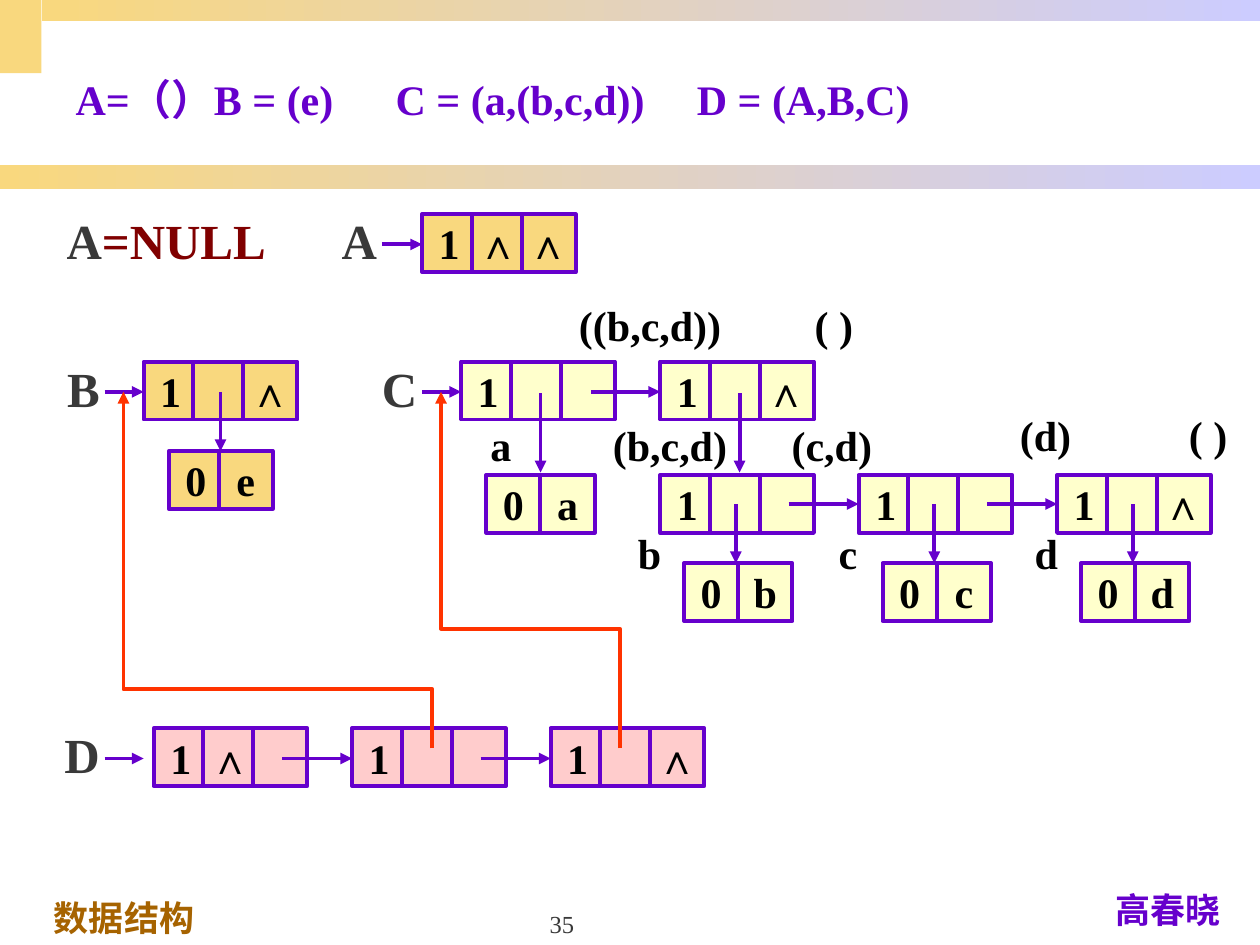
from lxml import etree
from pptx import Presentation
from pptx import util as u
from pptx.dml.color import RGBColor
from pptx.enum import shapes, text
from pptx.oxml.ns import qn

rgb = RGBColor.from_string
In = u.Inches
FONT = "Times New Roman"
GOLD, CREAM, PINK = "F9D87E", "FFFFCC", "FFCCCC"
PURPLE, LILAC, RED = "6600CC", "CCCCFF", "FF3300"
BLACK, GREY, MAROON, BROWN = "000000", "393939", "800000", "A66300"
LEFT, MID, RIGHT = text.PP_ALIGN.LEFT, text.PP_ALIGN.CENTER, text.PP_ALIGN.RIGHT
RECT = shapes.MSO_SHAPE.RECTANGLE


def write(shape, words, size, color, align=MID, bold=True):
    frame = shape.text_frame
    frame.text = words
    frame.word_wrap = False
    frame.vertical_anchor = text.MSO_ANCHOR.MIDDLE
    para = frame.paragraphs[0]
    para.alignment = align
    for run in para.runs:
        run.font.name = FONT
        run.font.size = u.Pt(size)
        run.font.bold = bold
        run.font.color.rgb = rgb(color)
    return para


def point(shape, color):
    """Style a line or outline as an arrow without a shadow."""
    shape.line.color.rgb = rgb(color)
    shape.line.width = u.Pt(2.25)
    tail = etree.SubElement(shape.line._get_or_add_ln(), qn("a:tailEnd"))
    tail.set("type", "triangle")
    etree.SubElement(shape._element.spPr, qn("a:effectLst"))


deck = Presentation()
deck.slide_width, deck.slide_height = In(10), In(7.5)
slide = deck.slides.add_slide(deck.slide_layouts[5])
parts = slide.shapes

# Corner block and bands
for x, y, w, h, blend in [
    (0, 0, 0.33, 0.58, False),
    (0, 1.31, 10, 0.19, True),
    (0.33, 0, 9.67, 0.17, True),
]:
    band = parts.add_shape(RECT, In(x), In(y), In(w), In(h))
    band.shadow.inherit = False
    band.line.fill.background()
    if blend:
        band.fill.gradient()
        band.fill.gradient_angle = 0
        for stop, color in zip(band.fill.gradient_stops, (GOLD, LILAC)):
            stop.color.rgb = rgb(color)
    else:
        band.fill.solid()
        band.fill.fore_color.rgb = rgb(GOLD)

# Title, with the definitions set on tab stops
title = parts.title
title.left, title.top, title.width, title.height = In(0.5), In(0.25), In(9.5), In(1.07)
para = write(title, "A=（）B = (e)\tC = (a,(b,c,d))\tD = (A,B,C)", 24, PURPLE, LEFT)
title.text_frame.word_wrap = True
tabs = etree.SubElement(para._p.get_or_add_pPr(), qn("a:tabLst"))
for stop in (2.54, 4.93):
    etree.SubElement(tabs, qn("a:tab"), pos=str(In(stop)), algn="l")

# List nodes: left, top, fill, cell gap, cell texts
STEP = 0.79 / 2
PITCH = 3.15 / 2
LEAF = 0.43
nodes = [
    (3.35, 1.7, GOLD, STEP, "1∧∧"),
    (1.14, 2.87, GOLD, STEP, "1 ∧"),
    (1.34, 3.58, GOLD, STEP, "0e"),
    (3.66, 2.87, CREAM, STEP, "1  "),
    (5.24, 2.87, CREAM, STEP, "1 ∧"),
    (3.86, 3.77, CREAM, LEAF, "0a"),
]
arrows = [
    (3.03, 1.94, 3.35, 1.94),
    (0.83, 3.11, 1.14, 3.11),
    (1.75, 3.11, 1.75, 3.58),
    (3.35, 3.11, 3.66, 3.11),
    (4.69, 3.11, 5.24, 3.11),
    (4.29, 3.12, 4.29, 3.75),
    (5.87, 3.12, 5.87, 3.75),
    (0.83, 6.02, 1.14, 6.02),
]
labels = [
    ("A", 2.61, 1.62, 0.48, 0.57, 28, GREY, RIGHT),
    ("B", 0.43, 2.79, 0.46, 0.57, 28, GREY, RIGHT),
    ("C", 2.93, 2.79, 0.48, 0.57, 28, GREY, RIGHT),
    ("D", 0.41, 5.7, 0.48, 0.57, 28, GREY, RIGHT),
    ("a", 3.74, 3.28, 0.47, 0.5, 24, BLACK, MID),
    ("((b,c,d))", 4.41, 2.33, 1.5, 0.5, 24, BLACK, MID),
    ("(b,c,d)", 4.76, 3.28, 1.11, 0.5, 24, BLACK, RIGHT),
    ("(c,d)", 6.18, 3.28, 0.84, 0.5, 24, BLACK, RIGHT),
    ("(d)", 7.99, 3.2, 0.61, 0.5, 24, BLACK, RIGHT),
    ("( )", 6.36, 2.33, 0.51, 0.5, 24, BLACK, RIGHT),
    ("( )", 9.33, 3.2, 0.51, 0.5, 24, BLACK, RIGHT),
    ("数据结构", 0.33, 7.07, 3.5, 0.43, 20, BROWN, LEFT),
    ("高春晓", 8.62, 7, 1.3, 0.43, 20, PURPLE, MID),
]

# Sublist (b,c,d) and list D run at an even pitch
for i, (name, cells) in enumerate(zip("bcd", ("1  ", "1  ", "1 ∧"))):
    x = 5.24 + i * PITCH
    nodes.append((x, 3.77, CREAM, STEP, cells))
    nodes.append((x + 0.19, 4.47, CREAM, LEAF, "0" + name))
    arrows.append((x + 0.6, 4, x + 0.6, 4.47))
    labels.append((name, x - 0.32, 4.14, 0.47, 0.5, 24, BLACK, MID))
    if i < 2:
        arrows.append((x + 1.02, 4, x + PITCH, 4))
for i, cells in enumerate(("1∧ ", "1  ", "1 ∧")):
    x = 1.22 + i * PITCH
    nodes.append((x, 5.78, PINK, STEP, cells))
    if i < 2:
        arrows.append((x + 1.02, 6.02, x + PITCH, 6.02))

for x, y, fill, gap, cells in nodes:
    for i, mark in enumerate(cells):
        cell = parts.add_shape(RECT, In(x + i * gap), In(y), In(0.43), In(0.46))
        cell.shadow.inherit = False
        cell.fill.solid()
        cell.fill.fore_color.rgb = rgb(fill)
        cell.line.color.rgb = rgb(PURPLE)
        cell.line.width = u.Pt(2.25)
        if mark != " ":
            write(cell, mark, 24, BLACK)

for ends in arrows:
    arrow = parts.add_connector(shapes.MSO_CONNECTOR.STRAIGHT, *map(In, ends))
    point(arrow, PURPLE)

# Bent links from D back to B and C
for start, turn, end in [(3.43, 5.47, 0.98), (4.92, 4.99, 3.5)]:
    pen = parts.build_freeform(In(start), In(5.94))
    bends = [(start, turn), (end, turn), (end, 3.11)]
    pen.add_line_segments([(In(x), In(y)) for x, y in bends], close=False)
    link = pen.convert_to_shape()
    link.fill.background()
    point(link, RED)

for words, x, y, w, h, size, color, align in labels:
    label = parts.add_textbox(In(x), In(y), In(w), In(h))
    write(label, words, size, color, align)

null = parts.add_textbox(In(0.43), In(1.62), In(1.98), In(0.57))
para = write(null, "A", 28, GREY, LEFT)
rest = para.add_run()
rest.text = "=NULL"
rest.font.name = FONT
rest.font.size = u.Pt(28)
rest.font.bold = True
rest.font.color.rgb = rgb(MAROON)

page = parts.add_textbox(In(3.42), In(7), In(2.08), In(0.5))
write(page, "35", 14, GREY, bold=False)
page.text_frame.vertical_anchor = text.MSO_ANCHOR.BOTTOM

deck.save("out.pptx")
